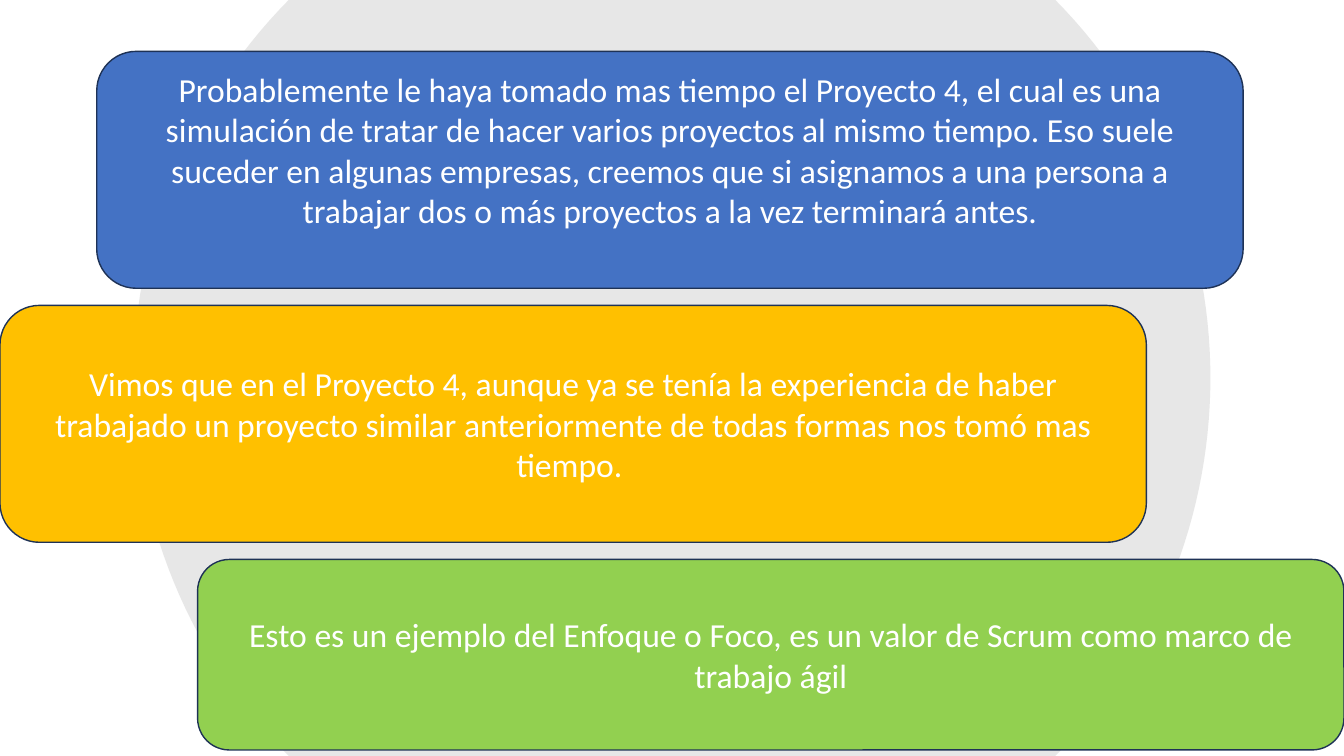
from math import asin, cos, pi, sin

from lxml.etree import SubElement
from pptx import Presentation
from pptx.dml.color import RGBColor
from pptx.enum.shapes import MSO_SHAPE as Shape
from pptx.enum.text import MSO_ANCHOR as Anchor, PP_ALIGN as Align
from pptx.oxml.ns import qn
from pptx.util import Inches, Pt

WIDTH, HEIGHT = 13.33, 7.5
RADIUS = 5.34
ARC_STEPS = 60
CARD_WIDTH = 11.37
FONT_SIZE = 24

# left, top, height, fill, bottom inset, text
CARDS = [
    (0.96, 0.51, 2.35, "4472C4", 0.45,
     "Probablemente le haya tomado mas tiempo el Proyecto 4, el cual es una "
     "simulación de tratar de hacer varios proyectos al mismo tiempo. Eso suele "
     "suceder en algunas empresas, creemos que si asignamos a una persona a "
     "trabajar dos o más proyectos a la vez terminará antes."),
    (0, 3.03, 2.35, "FFC000", 0.05,
     "Vimos que en el Proyecto 4, aunque ya se tenía la experiencia de haber "
     "trabajado un proyecto similar anteriormente de todas formas nos tomó mas "
     "tiempo. "),
    (WIDTH - CARD_WIDTH, 5.55, 1.89, "92D050", 0.05,
     "Esto es un ejemplo del Enfoque o Foco, es un valor de Scrum como marco de "
     "trabajo ágil"),
]


def paint(color_format, hex_color):
    color_format.rgb = RGBColor.from_string(hex_color)


def add_clipped_circle(slide, width, height, radius):
    """Centre a circle on the area and cut it off at the top and bottom edges."""
    limit = asin(height / 2 / radius)
    angles = [-limit + 2 * limit * step / ARC_STEPS for step in range(ARC_STEPS + 1)]
    angles += [angle + pi for angle in angles]
    points = [(Inches(width / 2 + radius * cos(angle)),
               Inches(height / 2 + radius * sin(angle))) for angle in angles]
    builder = slide.shapes.build_freeform(*points[0])
    builder.add_line_segments(points[1:], close=True)
    circle = builder.convert_to_shape()
    circle.shadow.inherit = False
    circle.fill.solid()
    paint(circle.fill.fore_color, "D9D9D9")
    color = circle._element.spPr.find(qn("a:solidFill"))[0]
    SubElement(color, qn("a:alpha")).set("val", "62000")
    circle.line.fill.background()


def add_card(slide, left, top, height, fill, bottom_inset, text):
    card = slide.shapes.add_shape(
        Shape.ROUNDED_RECTANGLE,
        Inches(left), Inches(top), Inches(CARD_WIDTH), Inches(height))
    card.shadow.inherit = False
    card.fill.solid()
    paint(card.fill.fore_color, fill)
    paint(card.line.color, "1E3256")
    card.line.width = Pt(1)
    frame = card.text_frame
    frame.word_wrap = True
    frame.vertical_anchor = Anchor.MIDDLE
    frame.margin_bottom = Inches(bottom_inset)
    paragraph = frame.paragraphs[0]
    paragraph.text = text
    paragraph.alignment = Align.CENTER
    paragraph.font.name = "Calibri"
    paragraph.font.size = Pt(FONT_SIZE)
    paint(paragraph.font.color, "FFFFFF")


def main():
    presentation = Presentation()
    presentation.slide_width = Inches(WIDTH)
    presentation.slide_height = Inches(HEIGHT)
    slide = presentation.slides.add_slide(presentation.slide_layouts[6])
    add_clipped_circle(slide, WIDTH, HEIGHT, RADIUS)
    for card in CARDS:
        add_card(slide, *card)
    presentation.save("out.pptx")


if __name__ == "__main__":
    main()
